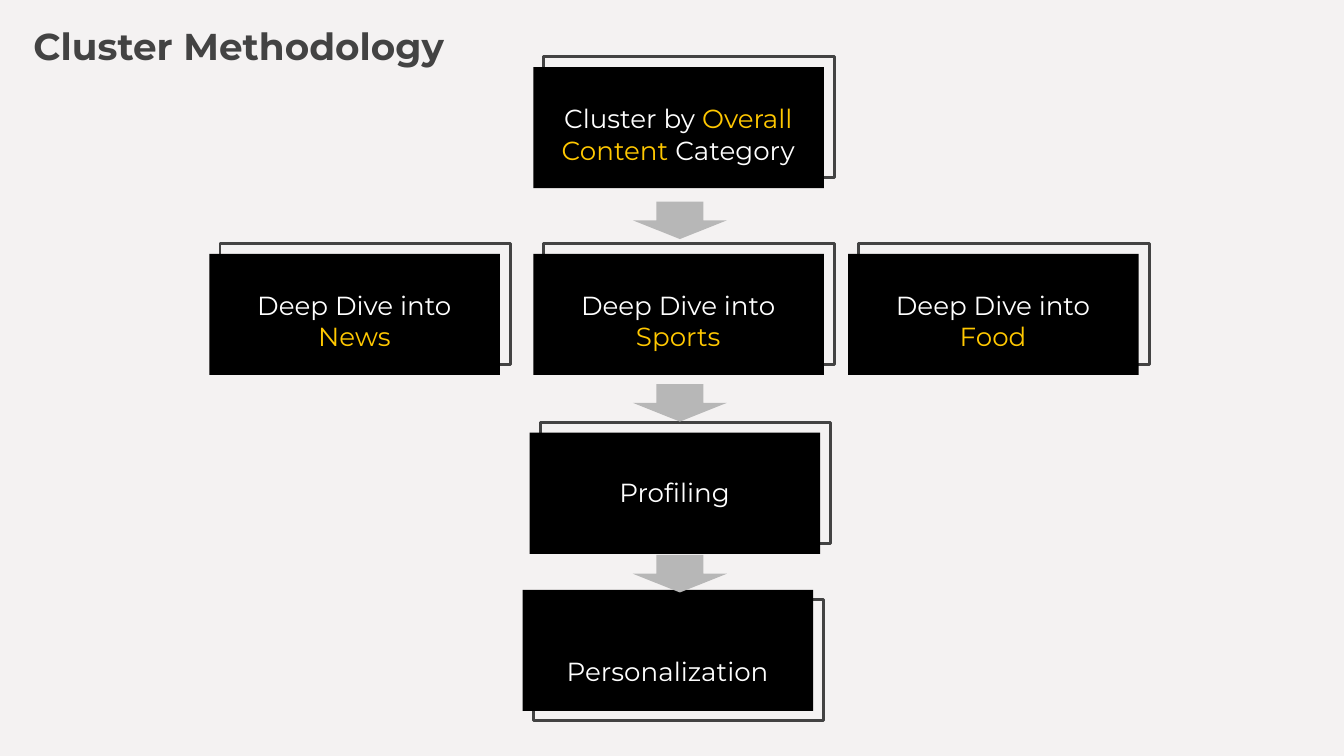
"""Build the cluster methodology flow slide."""
from dataclasses import dataclass

from pptx import Presentation
from pptx.dml.color import RGBColor
from pptx.enum.shapes import MSO_SHAPE
from pptx.enum.text import MSO_ANCHOR, MSO_AUTO_SIZE, PP_ALIGN
from pptx.slide import Slide
from pptx.text.text import Font, TextFrame
from pptx.util import Cm, Pt

RECTANGLE = MSO_SHAPE.RECTANGLE
DOWN_ARROW = MSO_SHAPE.DOWN_ARROW
TOP = MSO_ANCHOR.TOP
LEFT = PP_ALIGN.LEFT
CENTER = PP_ALIGN.CENTER
NO_AUTOFIT = MSO_AUTO_SIZE.NONE

COLORS = {
    "background": "F4F2F2",
    "dark": "434343",
    "card": "000000",
    "text": "FFFFFF",
    "accent": "FFC800",
    "arrow": "B7B7B7",
}
FONT_NAME = "Montserrat"
CARD_WIDTH, CARD_HEIGHT = 5.49, 2.29
LABEL_WIDTH, LABEL_HEIGHT = 5.08, 1.63
ARROW_WIDTH, ARROW_HEIGHT = 1.78, 0.71
ARROW_LEFT = 11.96
ARROW_TOPS = (3.81, 7.26, 10.49)
INSET = 0.25
ROW_TOP = 4.8


@dataclass(frozen=True)
class Card:
    left: float
    top: float
    pieces: tuple[tuple[str, str], ...]
    label_drop: float = 0.42
    frame_drop: float = -0.2


CARDS = (
    Card(10.08, 1.27, (("Cluster by ", "text"), ("Overall Content ", "accent"), ("Category", "text"))),
    *(
        Card(left, ROW_TOP, (("Deep Dive into ", "text"), (topic, "accent")))
        for left, topic in ((3.96, "News"), (10.08, "Sports"), (16.03, "Food"))
    ),
    Card(10.01, 8.18, (("Profiling", "text"),), label_drop=0.58),
    Card(9.88, 11.15, (("Personalization", "text"),), label_drop=0.99, frame_drop=0.18),
)


def rgb(color: str) -> RGBColor:
    return RGBColor.from_string(COLORS[color])


def style_font(font: Font, size: float, color: str, bold: bool = False) -> None:
    font.name = FONT_NAME
    font.size = Pt(size)
    font.bold = bold
    font.color.rgb = rgb(color)


def prepare_frame(frame: TextFrame) -> None:
    frame.word_wrap = True
    frame.auto_size = NO_AUTOFIT
    frame.vertical_anchor = TOP
    frame.margin_left = frame.margin_right = Cm(INSET)
    frame.margin_top = frame.margin_bottom = Cm(INSET)


def draw_shape(slide: Slide, kind: MSO_SHAPE, left: float, top: float, width: float,
               height: float, fill: str = "", line: str = "") -> None:
    shape = slide.shapes.add_shape(kind, Cm(left), Cm(top), Cm(width), Cm(height))
    shape.shadow.inherit = False
    if fill:
        shape.fill.solid()
        shape.fill.fore_color.rgb = rgb(fill)
    else:
        shape.fill.background()
    if line:
        shape.line.color.rgb = rgb(line)
        shape.line.width = Pt(1.5)
    else:
        shape.line.fill.background()


def draw_card(slide: Slide, card: Card) -> None:
    draw_shape(slide, RECTANGLE, card.left + 0.2, card.top + card.frame_drop,
               CARD_WIDTH, CARD_HEIGHT, line="dark")
    draw_shape(slide, RECTANGLE, card.left, card.top, CARD_WIDTH, CARD_HEIGHT, fill="card")
    label = slide.shapes.add_textbox(Cm(card.left + 0.2), Cm(card.top + card.label_drop),
                                     Cm(LABEL_WIDTH), Cm(LABEL_HEIGHT))
    prepare_frame(label.text_frame)
    paragraph = label.text_frame.paragraphs[0]
    paragraph.alignment = CENTER
    for words, color in card.pieces:
        run = paragraph.add_run()
        run.text = words
        style_font(run.font, 14, color)


def draw_title(slide: Slide, heading: str) -> None:
    title = slide.shapes.title
    title.left, title.top, title.width, title.height = Cm(0.38), Cm(0.18), Cm(9.3), Cm(2.62)
    prepare_frame(title.text_frame)
    title.text_frame.text = heading
    paragraph = title.text_frame.paragraphs[0]
    paragraph.alignment = LEFT
    style_font(paragraph.runs[0].font, 20, "dark", bold=True)


def main() -> None:
    presentation = Presentation()
    presentation.slide_width, presentation.slide_height = Cm(25.4), Cm(14.29)
    slide = presentation.slides.add_slide(presentation.slide_layouts[5])
    slide.background.fill.solid()
    slide.background.fill.fore_color.rgb = rgb("background")
    draw_title(slide, "Cluster Methodology")
    for card in CARDS:
        draw_card(slide, card)
    for top in ARROW_TOPS:
        draw_shape(slide, DOWN_ARROW, ARROW_LEFT, top, ARROW_WIDTH, ARROW_HEIGHT, fill="arrow")
    presentation.save("out.pptx")


if __name__ == "__main__":
    main()
